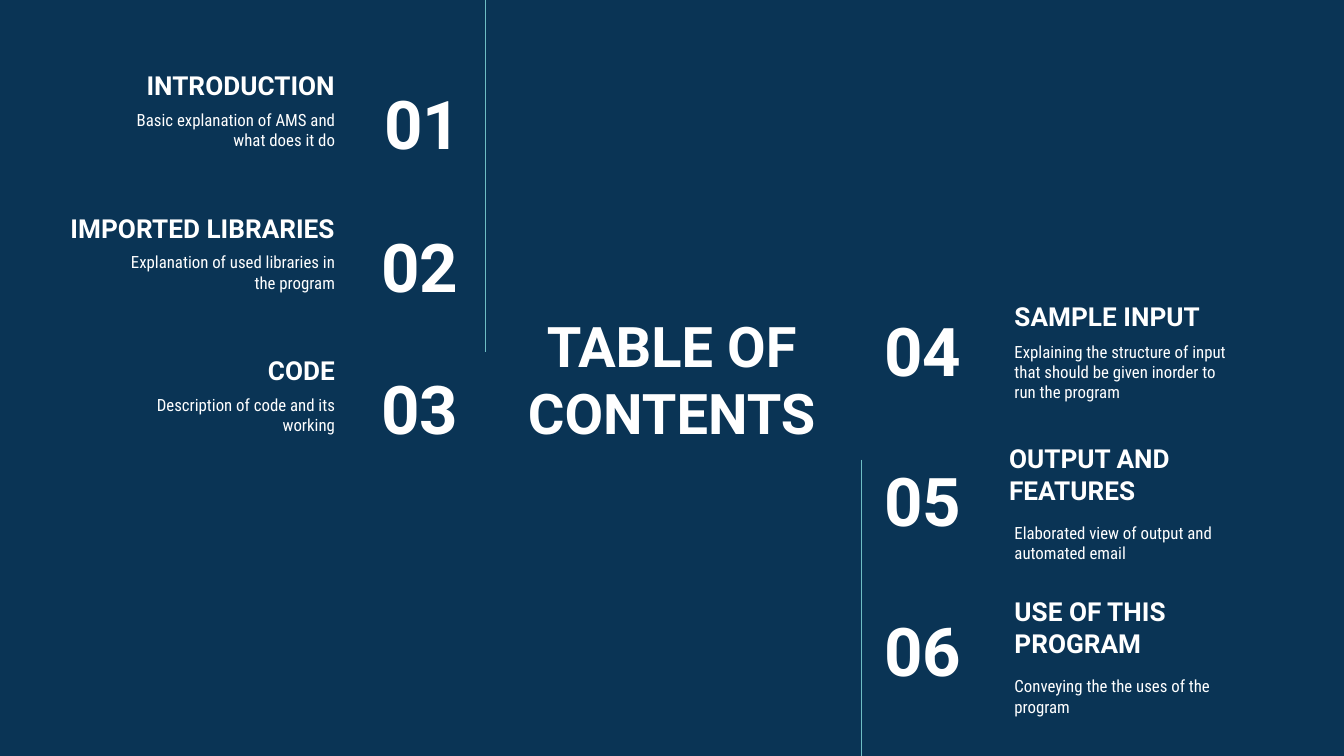
from lxml import etree
from pptx import Presentation
from pptx.dml.color import RGBColor
from pptx.enum.shapes import MSO_CONNECTOR
from pptx.enum.text import MSO_ANCHOR, PP_ALIGN
from pptx.oxml.ns import qn
from pptx.util import Pt

LEFT, MID, RIGHT = PP_ALIGN.LEFT, PP_ALIGN.CENTER, PP_ALIGN.RIGHT
TOP, CORE, BASE = MSO_ANCHOR.TOP, MSO_ANCHOR.MIDDLE, MSO_ANCHOR.BOTTOM
LINE = MSO_CONNECTOR.STRAIGHT
HUES = {"back": "0A3455", "text": "FFFFFF", "rule": "6EBDC4"}
HEAD, BODY = "Roboto", "Roboto Condensed"
TALL, PAD = 45.4, 7.2


class Deck:
    """Hold the style and the current slide, and draw each kind of element."""

    def __init__(self, wide, high):
        self.file = Presentation()
        self.file.slide_width, self.file.slide_height = Pt(wide), Pt(high)
        self.page = self.file.slides.add_slide(self.file.slide_layouts[6])
        fill = self.page.background.fill
        fill.solid()
        fill.fore_color.rgb = RGBColor.from_string(HUES["back"])

    def text(self, words, x, y, wide, high=TALL, size=14, face=HEAD,
             bold=True, side=LEFT, seat=CORE):
        box = self.page.shapes.add_textbox(Pt(x), Pt(y), Pt(wide), Pt(high))
        frame = box.text_frame
        frame.word_wrap = True
        frame.vertical_anchor = seat
        frame.margin_left = frame.margin_right = Pt(PAD)
        frame.margin_top = frame.margin_bottom = Pt(PAD)
        para = frame.paragraphs[0]
        para.alignment = side
        run = para.add_run()
        run.text = words
        font = run.font
        font.size, font.name, font.bold = Pt(size), face, bold
        font.color.rgb = RGBColor.from_string(HUES["text"])

    def rule(self, x, top, end):
        line = self.page.shapes.add_connector(LINE, Pt(x), Pt(top), Pt(x), Pt(end))
        line.line.width = Pt(0.75)
        line.line.color.rgb = RGBColor.from_string(HUES["rule"])
        etree.SubElement(line._element.spPr, qn("a:effectLst"))

    def head(self, words, x, y, wide, side):
        self.text(words, x, y, wide, side=side, seat=BASE)

    def note(self, words, x, y, side):
        self.text(words, x, y, 131.8, size=9, face=BODY, bold=False,
                  side=side, seat=TOP)

    def count(self, num, x, y, wide, side):
        self.text(f"{num:02}", x, y, wide, size=36, side=side)


def main():
    deck = Deck(720, 405)
    deck.text("TABLE OF CONTENTS", 266.6, 165.6, 186.5, 74.2, size=30, side=MID)
    deck.rule(260, 0, 188.6)
    deck.rule(461.5, 246.2, 405)

    edge = 186.5
    left = [
        ("INTRODUCTION", 155.5, 167, "Basic explanation of AMS and what does it do"),
        ("IMPORTED LIBRARIES", 168.5, 165.6, "Explanation of used libraries in the program"),
        ("CODE", 155.5, 165.6, "Description of code and its working"),
    ]
    for i, (name, wide, x, words) in enumerate(left):
        y = 15.9 + 76.3 * i
        deck.head(name, edge - wide, y, wide, RIGHT)
        deck.note(words, edge - 131.8, y + 35.7, RIGHT)
        deck.count(i + 1, x, y + 27.3, 87.1, RIGHT)

    right = [
        ("SAMPLE INPUT", 536.4, 139.7, 175.7,
         "Explaining the structure of input that should be given inorder to run the program"),
        ("OUTPUT AND FEATURES", 533.5, 232.6, 272.9,
         "Elaborated view of output and automated email"),
        ("USE OF THIS PROGRAM", 536.4, 314.6, 355,
         "Conveying the the uses of the program"),
    ]
    for i, (name, x, y, low, words) in enumerate(right):
        deck.head(name, x, y, 155.5, LEFT)
        deck.note(words, 536.4, low, LEFT)
        deck.count(i + 4, 466.6, 164.8 + 80.3 * i, 84.2, LEFT)

    deck.file.save("out.pptx")


if __name__ == "__main__":
    main()
